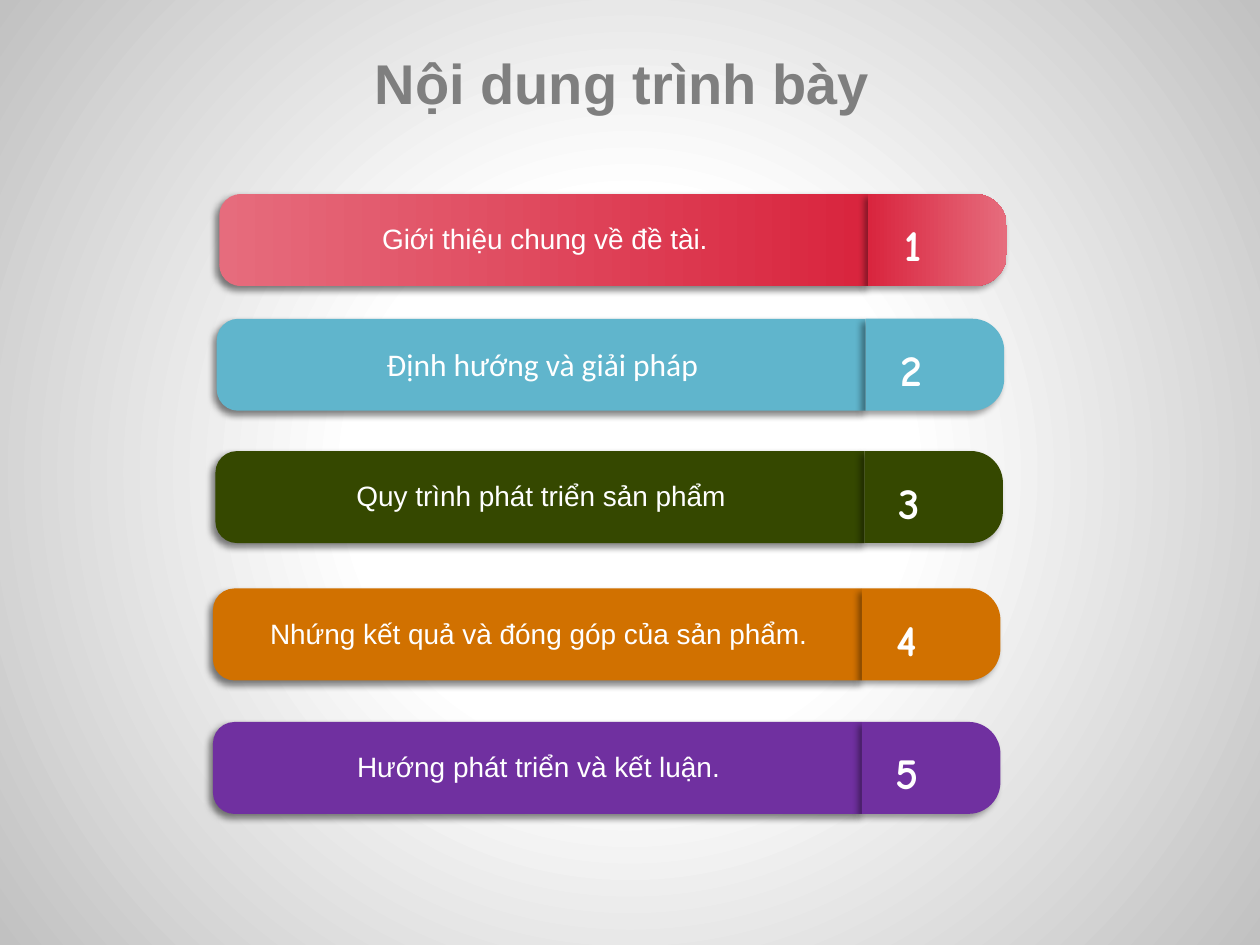
from pptx import Presentation
from pptx.dml.color import RGBColor
from pptx.enum.shapes import MSO_SHAPE
from pptx.enum.text import MSO_ANCHOR, PP_ALIGN
from pptx.oxml import parse_xml
from pptx.oxml.ns import nsdecls, qn
from pptx.util import Inches, Pt

HEADING = "Nội dung trình bày"
RED_FADE = [(0, "E66C7D"), (99, "D9253E")]
RED_RETURN = [(0, "D9253E"), (100, "E66C7D")]
BACKDROP = [(35, "FFFFFF"), (100, "C1C1C1")]
TOPICS = [
    ("Giới thiệu chung về đề tài.", "Arial", 16, "D9253E", 1.74, 1.54),
    ("Định hướng và giải pháp", "Calibri", 18, "60B5CC", 1.72, 2.53),
    ("Quy trình phát triển sản phẩm", "Arial", 16, "354800", 1.71, 3.58),
    ("Nhứng kết quả và đóng góp của sản phẩm.", "Arial", 16, "D17100", 1.69, 4.67),
    ("Hướng phát triển và kết luận.", "Arial", 16, "7030A0", 1.69, 5.73),
]
BAR_WIDTH, TAB_WIDTH, ROW_HEIGHT = 5.15, 1.1, 0.73
LABEL_HEIGHT, NUMBER_WIDTH, NUMBER_HEIGHT = 0.37, 0.68, 0.52


def color(code):
    return RGBColor.from_string(code)


def set_gradient(holder, stops, direction):
    stop_xml = "".join(
        f'<a:gs pos="{share * 1000}"><a:srgbClr val="{code}"/></a:gs>'
        for share, code in stops
    )
    gradient = parse_xml(
        f'<a:gradFill {nsdecls("a")} rotWithShape="1">'
        f"<a:gsLst>{stop_xml}</a:gsLst>{direction}</a:gradFill>"
    )
    holder.replace(holder.find(qn("a:solidFill")), gradient)


def linear(angle):
    return f'<a:lin ang="{angle * 60000}" scaled="0"/>'


def add_panel(slide, left, top, width, rotation, rounding, code, opacity):
    middle_x, middle_y = left + width / 2, top + ROW_HEIGHT / 2
    panel = slide.shapes.add_shape(
        MSO_SHAPE.ROUND_2_SAME_RECTANGLE,
        Inches(middle_x - ROW_HEIGHT / 2), Inches(middle_y - width / 2),
        Inches(ROW_HEIGHT), Inches(width),
    )
    panel.rotation = rotation
    panel.adjustments[0] = rounding
    panel.adjustments[1] = 0
    panel.fill.solid()
    panel.fill.fore_color.rgb = color(code)
    panel.line.fill.background()
    panel.shadow.inherit = False
    panel._element.spPr.find(qn("a:effectLst")).append(parse_xml(
        f'<a:outerShdw {nsdecls("a")} blurRad="{Pt(4)}" dist="{Pt(3)}" '
        f'dir="{135 * 60000}" algn="tr" rotWithShape="0"><a:srgbClr val="000000">'
        f'<a:alpha val="{opacity * 1000}"/></a:srgbClr></a:outerShdw>'
    ))
    return panel


def write(frame, words, font, size, code, bold=False, wrap=True):
    frame.word_wrap = wrap
    frame.vertical_anchor = MSO_ANCHOR.MIDDLE
    paragraph = frame.paragraphs[0]
    paragraph.alignment = PP_ALIGN.CENTER
    run = paragraph.add_run()
    run.text = words
    run.font.name = font
    run.font.size = Pt(size)
    run.font.bold = bold
    run.font.color.rgb = color(code)


def add_topic(slide, number, topic):
    words, font, size, code, left, top = topic
    tab_left = left + BAR_WIDTH
    bar = add_panel(slide, left, top, BAR_WIDTH, 270, 0.233, code, 50)
    tab = add_panel(slide, tab_left, top, TAB_WIDTH, 90, 0.347, code, 40)
    if number == 1:
        set_gradient(bar._element.spPr, RED_FADE, linear(90))
        set_gradient(tab._element.spPr, RED_RETURN, linear(270))
    digit = slide.shapes.add_textbox(
        Inches(tab_left + 0.02), Inches(top + 0.14),
        Inches(NUMBER_WIDTH), Inches(NUMBER_HEIGHT),
    )
    write(digit.text_frame, str(number), "Comic Neue", 25, "FFFFFF", bold=True)
    label = slide.shapes.add_textbox(
        Inches(left + 0.01), Inches(top + 0.17),
        Inches(BAR_WIDTH), Inches(LABEL_HEIGHT),
    )
    write(label.text_frame, words, font, size, "FFFFFF")


def main():
    deck = Presentation()
    deck.slide_width, deck.slide_height = Inches(10), Inches(7.5)
    slide = deck.slides.add_slide(deck.slide_layouts[5])

    slide.background.fill.solid()
    set_gradient(
        slide._element.cSld.find(qn("p:bg")).find(qn("p:bgPr")), BACKDROP,
        '<a:path path="circle"><a:fillToRect l="50000" t="50000" '
        'r="50000" b="50000"/></a:path>',
    )

    heading = slide.shapes.title
    heading.left, heading.top = Inches(2.86), Inches(0.33)
    heading.width, heading.height = Inches(4.16), Inches(0.64)
    write(heading.text_frame, HEADING, "Arial", 32, "7F7F7F", bold=True, wrap=False)

    for number, topic in enumerate(TOPICS, 1):
        add_topic(slide, number, topic)
    deck.save("out.pptx")


if __name__ == "__main__":
    main()
